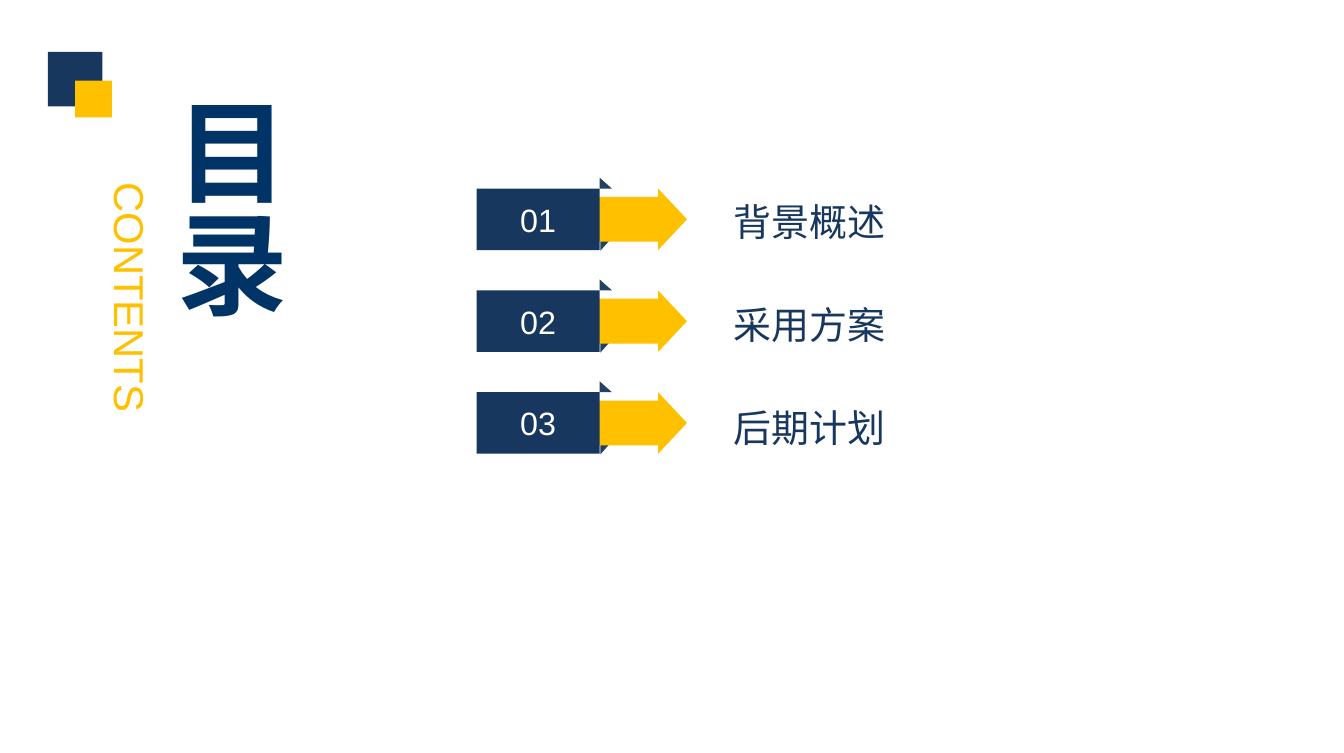
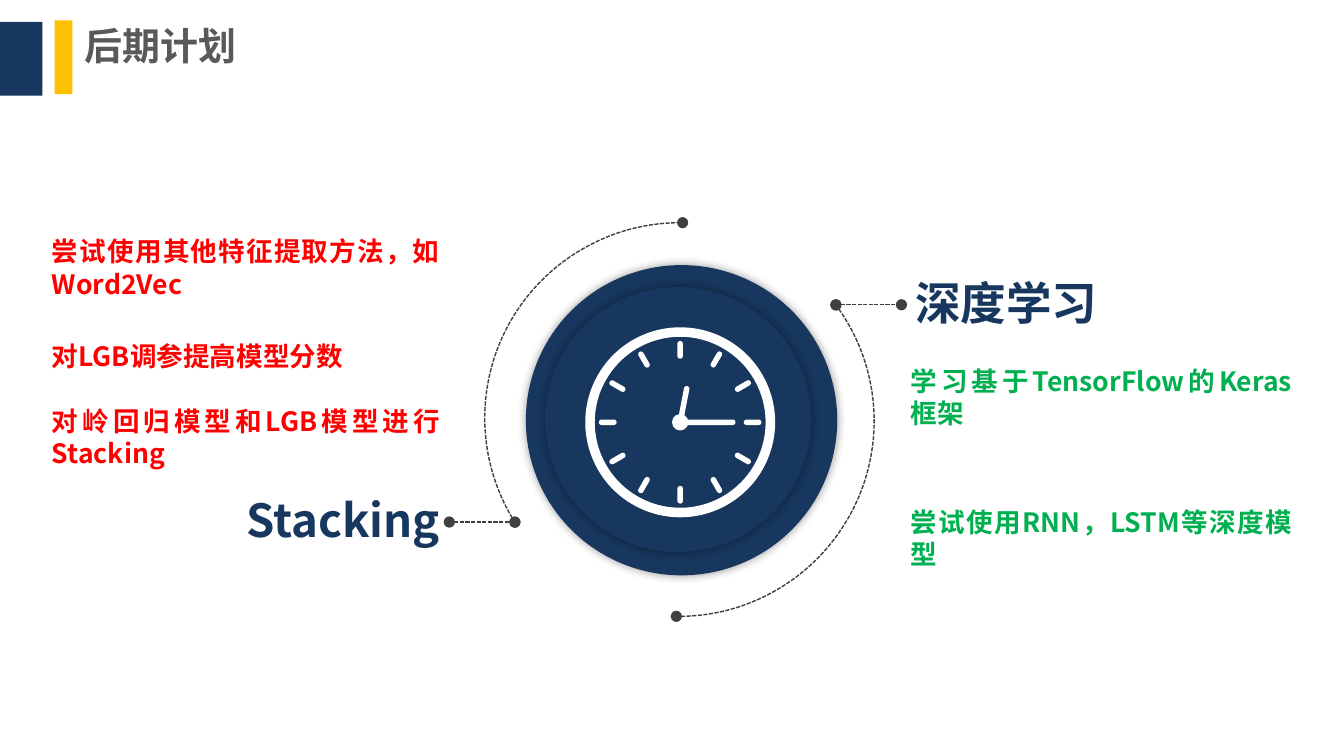
from math import cos, radians, sin

from lxml.etree import SubElement
from pptx import Presentation
from pptx.dml.color import RGBColor
from pptx.enum.dml import MSO_LINE
from pptx.enum.shapes import MSO_CONNECTOR, MSO_SHAPE as SHAPE
from pptx.enum.text import MSO_ANCHOR as ANCHOR, PP_ALIGN as ALIGN
from pptx.oxml.ns import qn
from pptx.util import Inches, Pt

NAVY, GOLD, FOLD = "17375E", "FFC000", "254061"
TITLE_BLUE, TITLE_GREY, LINE_GREY = "003466", "595959", "404040"
RED, GREEN, WHITE = "FF0000", "00B050", "FFFFFF"
LATIN, CJK, HEADER_FONT = "Arial", "Noto Sans CJK SC", "Calibri"
BODY_INSETS = (0.07, 0.04)

CONTENTS = ["背景概述", "采用方案", "后期计划"]
HEADINGS = [
    ("Stacking", (1.01, 3.56, 2.28, 0.48), ALIGN.RIGHT),
    ("深度学习", (6.63, 1.97, 2.28, 0.48), ALIGN.LEFT),
]
NOTES = [
    (["尝试使用其他特征提取方法，如Word2Vec"], (0.31, 1.68, 2.98, 0.55), RED),
    (["对LGB调参提高模型分数", "对岭回归模型和LGB模型进行Stacking"],
     (0.31, 2.45, 2.98, 1.02), RED),
    (["学习基于TensorFlow的Keras框架"], (6.6, 2.63, 2.93, 0.55), GREEN),
    (["尝试使用RNN，LSTM等深度模型"], (6.6, 3.66, 2.93, 0.55), GREEN),
]
ARCS = [((3.55, 1.63, 2.87, 2.86), 88.73, 0), ((3.53, 1.65, 2.87, 2.86), 86.23, 180)]
ARC_END = 162.32
LEADERS = [(6.12, 2.23), (3.29, 3.82)]
LEADER_LENGTH = 0.48
DISCS = [(3.85, 1.94, 2.28, 2.27), (3.99, 2.1, 1.95, 1.94)]
CLOCK_CENTRE = (4.98, 3.09)
HANDS = [(11, 0.13, 0.28), (90, 0.19, 0.43)]


def color(value):
    return RGBColor.from_string(value)


def write(shape, lines, size, ink, font=LATIN, bold=False, align=ALIGN.LEFT,
          anchor=ANCHOR.MIDDLE, insets=(0, 0), leading=None):
    frame = shape.text_frame
    frame.word_wrap = True
    frame.vertical_anchor = anchor
    frame.margin_left = frame.margin_right = Inches(insets[0])
    frame.margin_top = frame.margin_bottom = Inches(insets[1])
    for index, line in enumerate(lines):
        paragraph = frame.paragraphs[0] if index == 0 else frame.add_paragraph()
        paragraph.text = line
        paragraph.alignment = align
        if leading:
            paragraph.line_spacing = Pt(leading)
            if index:
                paragraph.space_before = Pt(leading)
        paragraph.font.size = Pt(size)
        paragraph.font.bold = bold
        paragraph.font.color.rgb = color(ink)
        paragraph.font.name = font
        properties = paragraph._p.pPr.find(qn("a:defRPr"))
        SubElement(properties, qn("a:ea")).set("typeface", CJK)


def add_text(slide, box, lines, *style, **options):
    shape = slide.shapes.add_textbox(*map(Inches, box))
    write(shape, lines, *style, **options)
    return shape


def add_shape(slide, kind, box, fill=None, rotation=0, adjustments=()):
    shape = slide.shapes.add_shape(kind, *map(Inches, box))
    shape.shadow.inherit = False
    shape.rotation = rotation
    for index, value in enumerate(adjustments):
        shape.adjustments[index] = value
    if fill:
        shape.fill.solid()
        shape.fill.fore_color.rgb = color(fill)
        shape.line.fill.background()
    else:
        shape.fill.background()
    return shape


def dash_with_dots(shape):
    shape.line.color.rgb = color(LINE_GREY)
    shape.line.width = Pt(0.75)
    shape.line.dash_style = MSO_LINE.SQUARE_DOT
    for end in ("a:headEnd", "a:tailEnd"):
        SubElement(shape.line._get_or_add_ln(), qn(end)).set("type", "oval")


def add_glow(shape):
    effects = shape._element.spPr.find(qn("a:effectLst"))
    shadow = SubElement(effects, qn("a:outerShdw"), blurRad=str(Pt(5)), dist="0",
                        dir="0", algn="ctr", rotWithShape="0")
    ink = SubElement(shadow, qn("a:srgbClr"), val="000000")
    SubElement(ink, qn("a:alpha"), val="40000")


def add_marks(slide, navy_box, gold_box):
    for box, fill in ((navy_box, NAVY), (gold_box, GOLD)):
        add_shape(slide, SHAPE.RECTANGLE, box, fill)


def add_bar(slide, angle, distance, length):
    x = CLOCK_CENTRE[0] + distance * sin(radians(angle))
    y = CLOCK_CENTRE[1] - distance * cos(radians(angle))
    box = (x - 0.02, y - length / 2, 0.04, length)
    add_shape(slide, SHAPE.ROUNDED_RECTANGLE, box, WHITE, angle, [0.5])


def add_clock(slide):
    def centred(kind, size, adjustment):
        box = [centre - size / 2 for centre in CLOCK_CENTRE] + [size, size]
        add_shape(slide, kind, box, WHITE, adjustments=[adjustment])

    centred(SHAPE.DONUT, 1.39, 0.05)
    for hour in range(12):
        add_bar(slide, hour * 30, 0.53, 0.13)
    centred(SHAPE.DONUT, 0.12, 0.33)
    for hand in HANDS:
        add_bar(slide, *hand)


def build_contents(slide):
    add_marks(slide, (0.35, 0.38, 0.4, 0.4), (0.55, 0.59, 0.27, 0.27))
    left, width, height, fold = 3.49, 0.9, 0.45, 0.08
    for index, label in enumerate(CONTENTS):
        top = 1.38 + index * 0.745
        right = left + width
        for y, turn in ((top + height - fold, 90), (top - fold, 0)):
            add_shape(slide, SHAPE.RIGHT_TRIANGLE, (right, y, 0.09, fold), FOLD, turn)
        add_shape(slide, SHAPE.RIGHT_ARROW, (3.71, top, 1.32, height), GOLD,
                  adjustments=[0.73, 0.47])
        number = add_shape(slide, SHAPE.RECTANGLE, (left, top, width, height), NAVY)
        write(number, [f"{index + 1:02}"], 17, WHITE, align=ALIGN.CENTER)
        add_text(slide, (5.37, 1.45 + index * 0.755, 1.89, 0.34), [label], 20, NAVY)
    title = add_text(slide, (1.18, 0.7, 0.99, 2.89), ["目录"], 59, TITLE_BLUE, bold=True)
    title.text_frame._txBody.bodyPr.set("vert", "eaVert")
    subtitle = add_text(slide, (-0.3, 1.99, 2.51, 0.37), ["CONTENTS"], 22, GOLD,
                        align=ALIGN.CENTER, anchor=ANCHOR.TOP)
    subtitle.rotation = 90


def build_plan(slide):
    for box, start, turn in ARCS:
        dash_with_dots(add_shape(slide, SHAPE.ARC, box, rotation=turn,
                                 adjustments=[start, ARC_END]))
    for x, y in LEADERS:
        ends = map(Inches, (x, y, x + LEADER_LENGTH, y))
        leader = slide.shapes.add_connector(MSO_CONNECTOR.STRAIGHT, *ends)
        dash_with_dots(leader)
        SubElement(leader._element.spPr, qn("a:effectLst"))
    for box in DISCS:
        add_glow(add_shape(slide, SHAPE.OVAL, box, NAVY))
    add_clock(slide)
    for heading, box, align in HEADINGS:
        add_text(slide, box, [heading], 24, NAVY, CJK, True, align, insets=BODY_INSETS)
    for lines, box, ink in NOTES:
        add_text(slide, box, lines, 14, ink, CJK, True, ALIGN.JUSTIFY,
                 insets=BODY_INSETS, leading=17)
    add_marks(slide, (-0.01, 0.16, 0.32, 0.54), (0.4, 0.15, 0.13, 0.54))
    add_text(slide, (0.62, 0.16, 1.77, 0.34), [CONTENTS[-1]], 20, TITLE_GREY,
             HEADER_FONT, True)


def main():
    presentation = Presentation()
    presentation.slide_width = Inches(9.84)
    presentation.slide_height = Inches(5.51)
    for build in (build_contents, build_plan):
        build(presentation.slides.add_slide(presentation.slide_layouts[6]))
    presentation.save("out.pptx")


if __name__ == "__main__":
    main()
